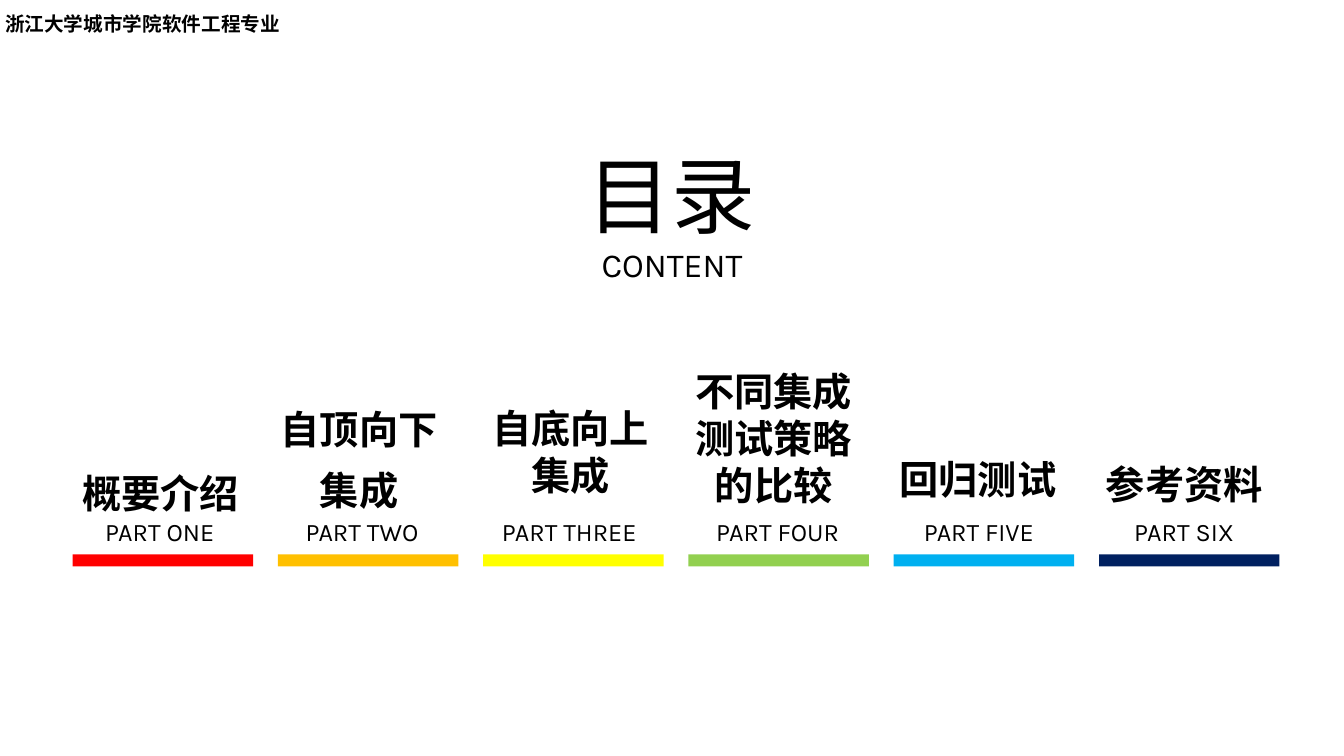
from collections import namedtuple

from lxml import etree
from pptx import Presentation
from pptx.dml.color import RGBColor
from pptx.enum.shapes import MSO_SHAPE
from pptx.enum.text import MSO_ANCHOR, MSO_AUTO_SIZE, PP_ALIGN
from pptx.oxml.ns import qn
from pptx.util import Inches, Pt

RECTANGLE = MSO_SHAPE.RECTANGLE
TOP = MSO_ANCHOR.TOP
NO_AUTOFIT = MSO_AUTO_SIZE.NONE
LEFT, CENTER = PP_ALIGN.LEFT, PP_ALIGN.CENTER

BLACK = RGBColor(0x00, 0x00, 0x00)
RED = RGBColor(0xFF, 0x00, 0x00)
ORANGE = RGBColor(0xFF, 0xC0, 0x00)
YELLOW = RGBColor(0xFF, 0xFF, 0x00)
GREEN = RGBColor(0x92, 0xD0, 0x50)
BLUE = RGBColor(0x00, 0xB0, 0xF0)
NAVY = RGBColor(0x00, 0x20, 0x60)

LATIN, CHINESE = "Karla", "Noto Sans CJK SC"
TITLE_ONLY = 5

# Column grid, in inches
FIRST_BAR, COLUMN_STEP = 0.72, 2.036
BAR_WIDTH, BAR_HEIGHT, BAR_TOP = 1.79, 0.12, 5.5
HEADING_WIDTH = 1.92
LABEL_TOP, LABEL_HEIGHT = 4.98, 0.41

# Shifts are measured from the centre of the section's bar
Section = namedtuple("Section", "lines top height spacing heading_shift "
                                "label label_width label_shift color")
SECTIONS = [
    Section(["概要介绍"], 4.47, 0.65, 1.3, -0.02, "PART ONE", 1.6, -0.03, RED),
    Section(["自顶向下集成"], 3.83, 1.26, 1.3, -0.09, "PART TWO", 1.74, -0.06, ORANGE),
    Section(["自底向上", "集成"], 3.96, 1.04, 1, -0.03, "PART THREE", 1.87, -0.04, YELLOW),
    Section(["不同集成测试策略的比较"], 3.59, 1.51, 1, -0.05, "PART FOUR", 1.54, -0.01, GREEN),
    Section(["回归测试"], 4.47, 0.57, 1, -0.06, "PART FIVE", 1.33, -0.05, BLUE),
    Section(["参考资料"], 4.52, 0.57, 1, -0.05, "PART SIX", 1.34, -0.05, NAVY),
]


def format_frame(box, wrap=True):
    frame = box.text_frame
    frame.auto_size = NO_AUTOFIT
    frame.word_wrap = wrap
    frame.vertical_anchor = TOP
    frame.margin_left = frame.margin_right = Inches(0.05)
    frame.margin_top = frame.margin_bottom = Inches(0.05)


def write(para, text, size, font=LATIN, bold=False, align=CENTER, spacing=1):
    para.alignment = align
    para.line_spacing = spacing
    span = para.add_run()
    span.text = text
    span.font.size = Pt(size)
    span.font.name = font
    span.font.bold = bold
    span.font.color.rgb = BLACK
    # East Asian characters take their own typeface entry
    east_asian = etree.SubElement(span.font._element, qn("a:ea"))
    east_asian.set("typeface", font)


def add_text(page, place, lines, size, wrap=True, **style):
    box = page.shapes.add_textbox(*map(Inches, place))
    format_frame(box, wrap)
    frame = box.text_frame
    for index, line in enumerate(lines):
        para = frame.add_paragraph() if index else frame.paragraphs[0]
        write(para, line, size, **style)


def add_title(page):
    title = page.shapes.title
    title.left, title.top = Inches(5.63), Inches(1.37)
    title.width, title.height = Inches(2.07), Inches(1.67)
    format_frame(title, wrap=False)
    write(title.text_frame.paragraphs[0], "目录", 60, font=CHINESE)
    write(title.text_frame.add_paragraph(), "CONTENT", 24)


def add_bar(page, left, color):
    bar = page.shapes.add_shape(
        RECTANGLE, *map(Inches, (left, BAR_TOP, BAR_WIDTH, BAR_HEIGHT)))
    bar.shadow.inherit = False
    bar.fill.solid()
    bar.fill.fore_color.rgb = color
    bar.line.fill.background()


def add_section(page, column, section):
    bar_left = FIRST_BAR + column * COLUMN_STEP
    center = bar_left + BAR_WIDTH / 2
    label_left = center + section.label_shift - section.label_width / 2
    heading_left = center + section.heading_shift - HEADING_WIDTH / 2
    add_text(page, (label_left, LABEL_TOP, section.label_width, LABEL_HEIGHT),
             [section.label], 18, spacing=1.3)
    add_text(page, (heading_left, section.top, HEADING_WIDTH, section.height),
             section.lines, 28, bold=True, spacing=section.spacing)
    add_bar(page, bar_left, section.color)


def main():
    deck = Presentation()
    deck.slide_width, deck.slide_height = Inches(13.33), Inches(7.5)
    page = deck.slides.add_slide(deck.slide_layouts[TITLE_ONLY])

    # Title
    add_title(page)

    # Six sections
    for column, section in enumerate(SECTIONS):
        add_section(page, column, section)

    # Department name
    add_text(page, (0, 0.07, 2.85, 0.34), ["浙江大学城市学院软件工程专业"], 14,
             wrap=False, font=CHINESE, bold=True, align=LEFT)

    deck.save("out.pptx")


if __name__ == "__main__":
    main()
